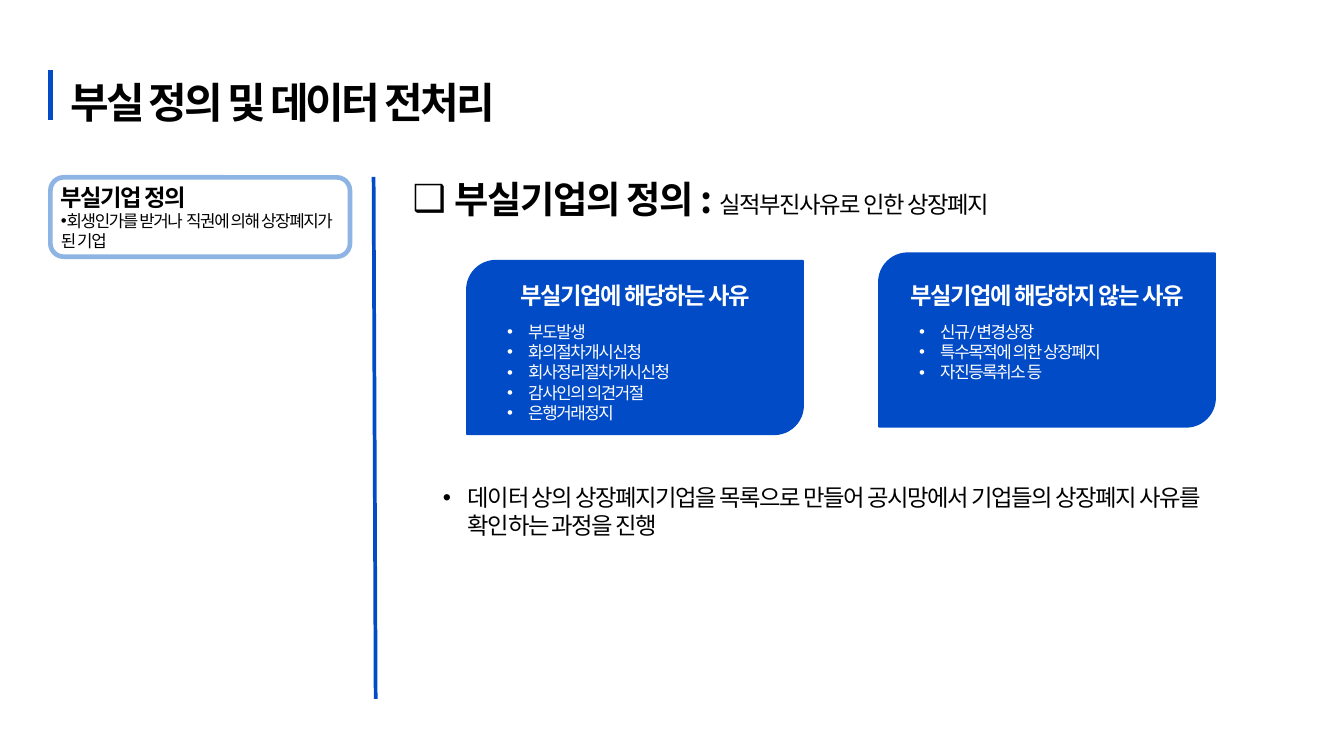
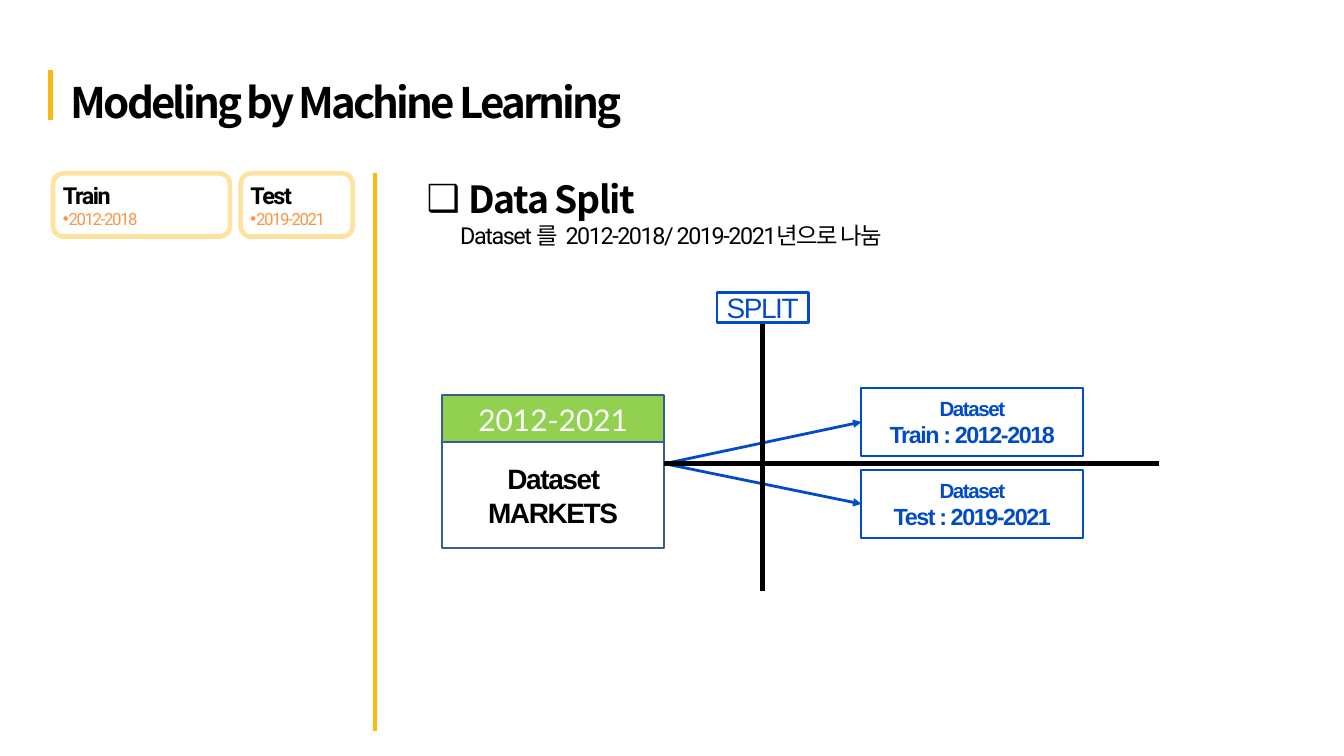
from lxml.etree import SubElement
from pptx import Presentation
from pptx.dml.color import RGBColor
from pptx.enum.shapes import MSO_CONNECTOR, MSO_SHAPE as SHAPE
from pptx.enum.text import MSO_ANCHOR as ANCHOR, MSO_AUTO_SIZE, PP_ALIGN as ALIGN
from pptx.oxml.ns import qn
from pptx.util import Pt

COLORS = {
    "black": "000000", "white": "FFFFFF", "blue": "024BC7", "pale blue": "8EB4E3",
    "yellow": "FCB812", "pale yellow": "FEE3A0", "orange": "F79646",
    "green": "92D050", "navy": "3A5F8C",
}
COLORS = {name: RGBColor.from_string(code) for name, code in COLORS.items()}
HEADING_FONT = "Noto Sans CJK KR"


def add_box(slide, bounds, preset=None, fill=None, line=None, width=2, anchor=ANCHOR.MIDDLE):
    """Add a preset shape, or a plain text box when no preset is given."""
    bounds = [Pt(length) for length in bounds]
    if preset is None:
        shape = slide.shapes.add_textbox(*bounds)
        anchor = ANCHOR.TOP
    else:
        shape = slide.shapes.add_shape(preset, *bounds)
        shape.shadow.inherit = False
        shape.line.color.rgb = COLORS[line]
        shape.line.width = Pt(width)
        if fill:
            shape.fill.solid()
            shape.fill.fore_color.rgb = COLORS[fill]
        else:
            shape.fill.background()
    shape.text_frame.word_wrap = True
    shape.text_frame.vertical_anchor = anchor
    return shape


def write(shape, text, size=25, font="Roboto", color="black", bold=False, spacing=-1.5,
          align=ALIGN.LEFT, bullet=None, margin=0, hanging=0, level=0, join=False):
    """Add a paragraph to the shape; join continues its last paragraph instead."""
    frame = shape.text_frame
    paragraph = frame.paragraphs[-1]
    if not join:
        if paragraph.runs:
            paragraph = frame.add_paragraph()
        paragraph.alignment = align
        paragraph.level = level
        properties = paragraph._p.get_or_add_pPr()
        properties.set("marL", str(Pt(margin)))
        properties.set("indent", str(Pt(-hanging)))
        if bullet:
            SubElement(properties, qn("a:buFont")).set("typeface", "Arial")
            SubElement(properties, qn("a:buChar")).set("char", bullet)
        else:
            SubElement(properties, qn("a:buNone"))
    run = paragraph.add_run()
    run.text = text
    run.font.size = Pt(size)
    run.font.name = font
    run.font.bold = bold
    run.font.color.rgb = COLORS[color]
    run_properties = run._r.get_or_add_rPr()
    run_properties.set("spc", str(round(spacing * 100)))
    SubElement(run_properties, qn("a:ea")).set("typeface", HEADING_FONT)
    return paragraph


presentation = Presentation()
presentation.slide_width = Pt(1440)
presentation.slide_height = Pt(810)

# Titles
slides = []
for title_text in ("부실 정의 및 데이터 전처리", "Modeling by Machine Learning"):
    slide = presentation.slides.add_slide(presentation.slide_layouts[5])
    title = slide.shapes.title
    title.left, title.top, title.width, title.height = Pt(75.6), Pt(61.2), Pt(642), Pt(68.4)
    frame = title.text_frame
    frame.margin_left = frame.margin_top = frame.margin_right = frame.margin_bottom = 0
    frame.vertical_anchor = ANCHOR.TOP
    frame.auto_size = MSO_AUTO_SIZE.NONE
    frame.word_wrap = True
    paragraph = write(title, title_text, size=45, font=HEADING_FONT, bold=True, spacing=-3)
    paragraph.line_spacing = Pt(74.8)
    slides.append(slide)
definition_slide, split_slide = slides

# Section headings
heading_format = dict(size=40, font=HEADING_FONT, bold=True, bullet="❑", margin=45, hanging=45)
heading = add_box(definition_slide, (435, 185, 890, 55.4))
write(heading, "부실기업의 정의 : ", **heading_format)
write(heading, "실적부진사유로 인한 상장폐지", join=True)

heading = add_box(split_slide, (450, 185, 934, 85.7))
write(heading, "Data Split", **heading_format)
write(heading, "Dataset 를  2012-2018/ 2019-2021년으로 나눔", margin=36, level=1)

# Rounded summary cards in the left column
for slide, bounds, line, label, detail, detail_color in (
    (definition_slide, (54, 190, 321, 85), "pale blue", "부실기업 정의",
     "회생인가를 받거나  직권에 의해 상장폐지가 된 기업", "black"),
    (split_slide, (56.9, 185.8, 189.4, 67.7), "pale yellow", "Train", "2012-2018", "orange"),
    (split_slide, (257.8, 185.8, 120.2, 67.7), "pale yellow", "Test", "2019-2021", "orange"),
):
    card = add_box(slide, bounds, SHAPE.ROUNDED_RECTANGLE, "white", line, 5)
    write(card, label, bold=True)
    write(card, detail, size=18, color=detail_color, bullet="•")

# Reasons for delisting
for left, top, label, reasons in (
    (500.4, 279.4, "부실기업에 해당하는 사유",
     ("부도발생", "화의절차개시신청", "회사정리절차개시신청", "감사인의 의견거절", "은행거래정지")),
    (941.8, 271.4, "부실기업에 해당하지 않는 사유",
     ("신규/변경상장", "특수목적에 의한 상장폐지", "자진등록취소 등")),
):
    add_box(definition_slide, (left, top, 360, 185.8), SHAPE.ROUND_2_DIAG_RECTANGLE, "blue", "blue")
    label_box = add_box(definition_slide, (left, 297.4, 360, 37.4))
    write(label_box, label, color="white", bold=True, align=ALIGN.CENTER)
    reason_box = add_box(definition_slide, (left, 341.3, 360, 7.2 + 21.9 * len(reasons)))
    for reason in reasons:
        write(reason_box, reason, size=18, color="white", bullet="•",
              margin=58.5, hanging=22.5, level=1)

process = add_box(definition_slide, (467.3, 514, 858.2, 67.7))
write(process, "데이터 상의 상장폐지기업을 목록으로 만들어 공시망에서 기업들의 상장폐지 사유를 "
      "확인하는 과정을 진행", bullet="•", margin=27, hanging=27)

# Data split diagram
period = add_box(split_slide, (473.8, 423.4, 238, 127.4), SHAPE.RECTANGLE, "green", "navy",
                 anchor=ANCHOR.TOP)
period.text_frame.margin_top = Pt(7.2)
write(period, "2012-2021", size=32, font="Lato", color="white", spacing=0, align=ALIGN.CENTER)

dataset = add_box(split_slide, (473.8, 473.8, 237.6, 113.8), SHAPE.RECTANGLE, "white", "navy")
write(dataset, "Dataset MARKETS", size=30, font="Arial", bold=True, align=ALIGN.CENTER)

subsets = []
subset_format = dict(font="Arial", color="blue", bold=True, align=ALIGN.CENTER)
for top, period_text in ((415.4, "Train : 2012-2018"), (503.3, "Test : 2019-2021")):
    subset = add_box(split_slide, (923, top, 237.6, 73.4), SHAPE.RECTANGLE, "white", "blue")
    write(subset, "Dataset", size=22, **subset_format)
    write(subset, period_text, **subset_format)
    subsets.append(subset)

split_label = add_box(split_slide, (768.2, 313.2, 97.9, 32.4), SHAPE.RECTANGLE, None, "blue", 3)
write(split_label, "SPLIT", size=30, font="Arial", color="blue", align=ALIGN.CENTER)

# Title bars, column dividers, arrows to the subsets and split axes
for slide, start, end, color, width, target in (
    (definition_slide, (54, 128.9), (54, 74.9), "blue", 5, None),
    (definition_slide, (400.3, 189.4), (402.5, 748.8), "blue", 4, None),
    (split_slide, (54, 128.9), (54, 74.9), "yellow", 5, None),
    (split_slide, (401.8, 185), (401.8, 783.4), "yellow", 4, None),
    (split_slide, (712, 496.8), (923, 452.1), "blue", 3, subsets[0]),
    (split_slide, (712, 496.8), (923, 540), "blue", 3, subsets[1]),
    (split_slide, (711.4, 496.8), (1241.3, 496.8), "black", 5, None),
    (split_slide, (817.2, 347), (817.2, 632.9), "black", 5, None),
):
    connector = slide.shapes.add_connector(
        MSO_CONNECTOR.STRAIGHT, *[Pt(length) for length in start + end])
    connector.line.color.rgb = COLORS[color]
    connector.line.width = Pt(width)
    properties = connector._element.spPr
    SubElement(properties, qn("a:effectLst"))
    if target:
        connector.end_connect(target, 1)
        SubElement(properties.find(qn("a:ln")), qn("a:tailEnd")).set("type", "triangle")

presentation.save("out.pptx")
